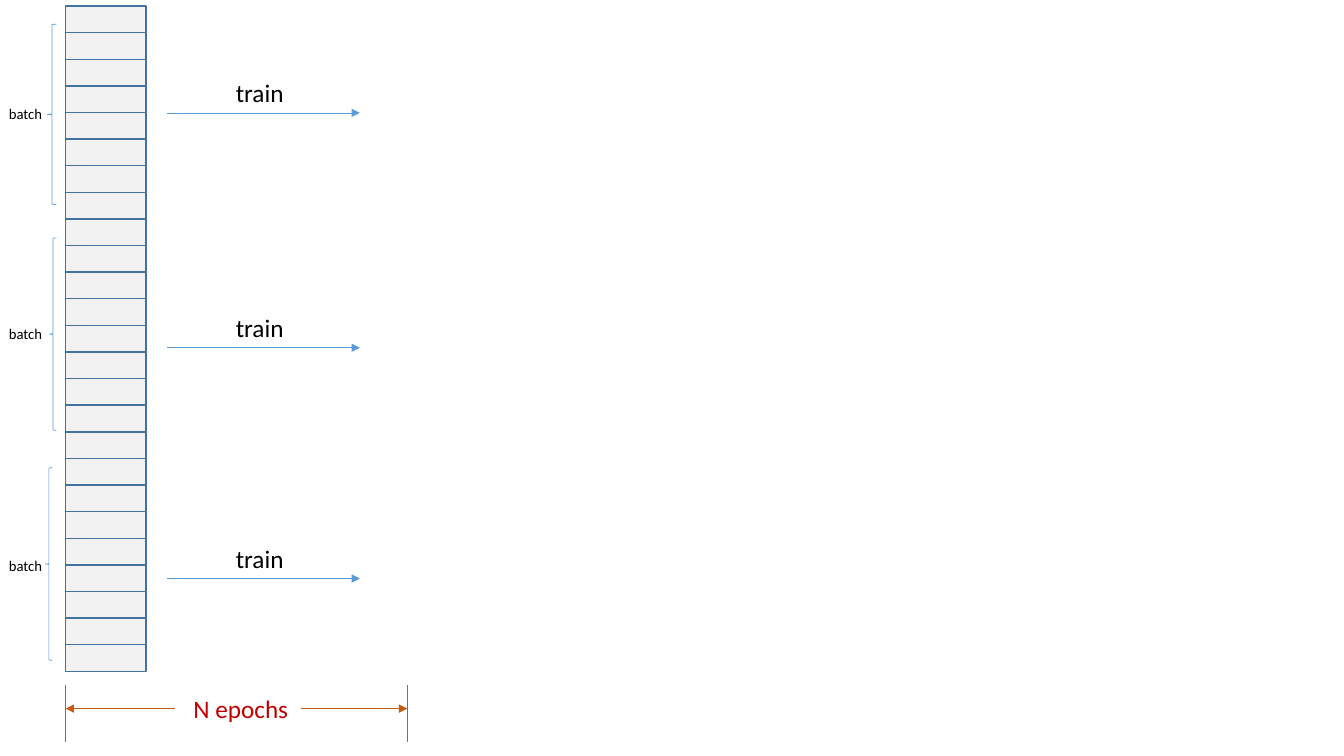
from collections import namedtuple

from lxml.etree import SubElement
from pptx import Presentation
from pptx.dml.color import RGBColor
from pptx.enum.shapes import MSO_CONNECTOR, MSO_SHAPE
from pptx.oxml.ns import qn
from pptx.util import Inches, Pt

WHITE = RGBColor(0xFF, 0xFF, 0xFF)
BLACK = RGBColor(0x00, 0x00, 0x00)
GREY = RGBColor(0xF2, 0xF2, 0xF2)
STEEL = RGBColor(0x43, 0x73, 0x9E)
BLUE = RGBColor(0x5B, 0x9B, 0xD5)
ORANGE = RGBColor(0xC5, 0x5A, 0x11)
RED = RGBColor(0xC0, 0x00, 0x00)
FONT = "Calibri"
SAMPLES = 25

Box = namedtuple("Box", "left top width height")


def add_text(page, text, box, size=18, color=BLACK):
    frame = page.shapes.add_textbox(*map(Inches, box)).text_frame
    frame.word_wrap = True
    span = frame.paragraphs[0].add_run()
    span.text = text
    span.font.name = FONT
    span.font.size = Pt(size)
    span.font.color.rgb = color


def add_outline(page, kind, box, color, weight, fill=None):
    shape = page.shapes.add_shape(kind, *map(Inches, box))
    shape.shadow.inherit = False
    if fill is None:
        shape.fill.background()
    else:
        shape.fill.solid()
        shape.fill.fore_color.rgb = fill
    shape.line.color.rgb = color
    shape.line.width = Pt(weight)


def add_line(page, start, end, color, weight, arrow=False):
    line = page.shapes.add_connector(
        MSO_CONNECTOR.STRAIGHT, *map(Inches, (*start, *end)))
    line.line.color.rgb = color
    line.line.width = Pt(weight)
    properties = line.line._get_or_add_ln()
    if arrow:
        SubElement(properties, qn("a:tailEnd"), type="triangle")
    SubElement(properties.getparent(), qn("a:effectLst"))


def add_samples(page, box):
    step = box.height / SAMPLES
    for index in range(SAMPLES):
        cell = Box(box.left, box.top + index * step, box.width, step)
        add_outline(page, MSO_SHAPE.RECTANGLE, cell, STEEL, 1, GREY)


def add_batch(page, box, label_top, arrow_y):
    add_outline(page, MSO_SHAPE.LEFT_BRACE, box, BLUE, 0.5)
    add_text(page, "batch", Box(-0.01, label_top, 0.92, 0.28), size=10.5)
    add_line(page, (1.66, arrow_y), (3.57, arrow_y), BLUE, 0.5, arrow=True)
    add_text(page, "train", Box(2.24, arrow_y - 0.4, 1.63, 0.4))


def add_epochs(page, box):
    right = box.left + box.width
    middle = box.top + 0.23
    for edge, inner in ((box.left, box.left + 1.09), (right, right - 1.05)):
        add_line(page, (edge, box.top), (edge, box.top + box.height), ORANGE, 1)
        add_line(page, (inner, middle), (edge, middle), ORANGE, 1, arrow=True)
    label = Box(box.left + 1.17, box.top + 0.03, 1.36, 0.4)
    add_text(page, "N epochs", label, color=RED)


deck = Presentation()
deck.slide_width = Inches(13.33)
deck.slide_height = Inches(7.5)
page = deck.slides.add_slide(deck.slide_layouts[6])
page.background.fill.solid()
page.background.fill.fore_color.rgb = WHITE

add_samples(page, Box(0.65, 0.06, 0.8, 6.6))
for brace, label_top, arrow_y in (
    (Box(0.47, 0.24, 0.09, 1.79), 0.99, 1.12),
    (Box(0.49, 2.36, 0.07, 1.91), 3.17, 3.45),
    (Box(0.45, 4.64, 0.07, 1.91), 5.47, 5.74),
):
    add_batch(page, brace, label_top, arrow_y)
add_epochs(page, Box(0.65, 6.8, 3.39, 0.56))

deck.save("out.pptx")
